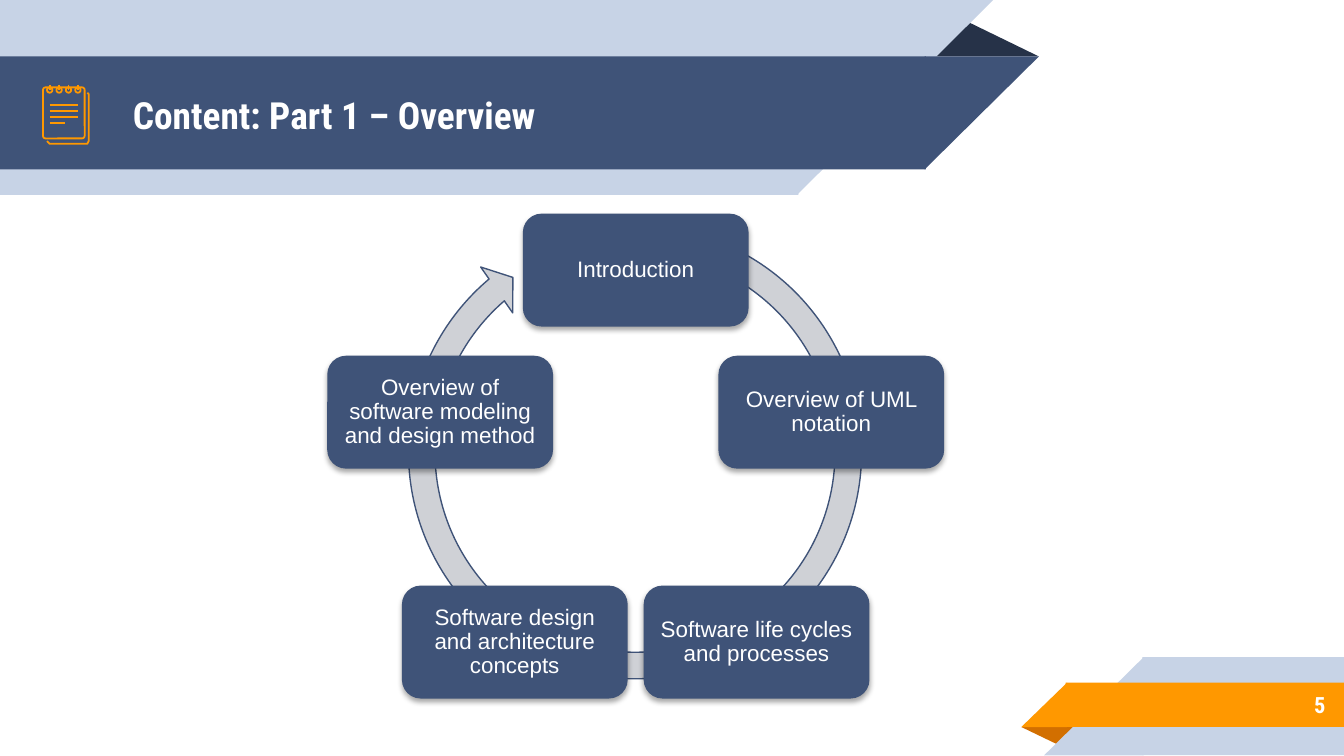
import math
from dataclasses import dataclass

import pptx
import pptx.dml.color
import pptx.enum.shapes
import pptx.enum.text
import pptx.oxml
import pptx.oxml.ns
import pptx.util

Inches = pptx.util.Inches
Pt = pptx.util.Pt
SHAPE = pptx.enum.shapes.MSO_SHAPE
ALIGN = pptx.enum.text.PP_ALIGN
NS = pptx.oxml.ns.nsdecls("a")
SEAM = 0.01  # overlap that hides the joint between a band and its slanted end


@dataclass(frozen=True)
class Theme:
    navy: str = "3F5378"
    dark_navy: str = "263248"
    pale_blue: str = "C7D3E6"
    orange: str = "FF9800"
    dark_orange: str = "D26F00"
    ring_gray: str = "CFD1D6"
    white: str = "FFFFFF"
    heading_font: str = "Roboto Condensed"
    body_font: str = "Arial"
    title_size: int = 20
    body_size: int = 12
    thin_line: float = 0.75
    icon_line: float = 0.96


THEME = Theme()
STEPS = [
    "Introduction",
    "Overview of UML notation",
    "Software life cycles and processes",
    "Software design and architecture concepts",
    "Overview of software modeling and design method",
]


def rgb(color):
    return pptx.dml.color.RGBColor.from_string(color)


def style(s, fill=None, line=None, width=THEME.thin_line):
    s.shadow.inherit = False
    if fill:
        s.fill.solid()
        s.fill.fore_color.rgb = rgb(fill)
    else:
        s.fill.background()
    if line:
        s.line.color.rgb = rgb(line)
        s.line.width = Pt(width)
    else:
        s.line.fill.background()


def add_shape(slide, kind, box, fill=None, line=None, width=THEME.thin_line,
              rotation=0, flip=False, adjustments=()):
    s = slide.shapes.add_shape(kind, *map(Inches, box))
    style(s, fill, line, width)
    s.rotation = rotation
    if flip:
        s._element.spPr.xfrm.set("flipH", "1")
    for i, value in enumerate(adjustments):
        s.adjustments[i] = value
    return s


def write_text(s, text, font, size, align, inset, bold=False, spacing=1.0):
    tf = s.text_frame
    tf.word_wrap = True
    tf.vertical_anchor = pptx.enum.text.MSO_ANCHOR.MIDDLE
    tf.margin_left = tf.margin_right = Inches(inset)
    tf.margin_top = tf.margin_bottom = Inches(inset)
    p = tf.paragraphs[0]
    p.alignment = align
    p.line_spacing = spacing
    r = p.add_run()
    r.text = text
    r.font.name = font
    r.font.size = Pt(size)
    r.font.bold = bold
    r.font.color.rgb = rgb(THEME.white)


def add_heading(slide, box, text, size, align):
    s = slide.shapes.add_textbox(*map(Inches, box))
    write_text(s, text, THEME.heading_font, size, align, 0.1, bold=True)


def add_line(slide, x1, y1, x2, y2):
    s = slide.shapes.add_connector(
        pptx.enum.shapes.MSO_CONNECTOR.STRAIGHT, *map(Inches, (x1, y1, x2, y2)))
    s.line.color.rgb = rgb(THEME.orange)
    s.line.width = Pt(THEME.icon_line)
    s._element.spPr.append(pptx.oxml.parse_xml(f"<a:effectLst {NS}/>"))


def add_soft_shadow(s):
    effects = s._element.spPr.find(pptx.oxml.ns.qn("a:effectLst"))
    effects.append(pptx.oxml.parse_xml(
        f'<a:outerShdw {NS} blurRad="{Pt(3.1)}" dist="{Pt(1.8)}" dir="5400000" '
        'rotWithShape="0"><a:srgbClr val="000000"><a:alpha val="35000"/>'
        '</a:srgbClr></a:outerShdw>'))


def add_header_band(slide, top, length, height, fill):
    """A band from the left edge whose right end slants inwards at 45 degrees."""
    add_shape(slide, SHAPE.RECTANGLE, (0, top, length, height), fill)
    add_shape(slide, SHAPE.RIGHT_TRIANGLE,
              (length - SEAM, top, height + SEAM, height), fill,
              rotation=180, flip=True)


def add_footer_band(slide, left, top, height, fill):
    """A band to the right edge whose left end slants at 45 degrees."""
    start = left + height
    add_shape(slide, SHAPE.RECTANGLE, (start, top, 10 - start, height), fill)
    add_shape(slide, SHAPE.RIGHT_TRIANGLE, (left, top, height + SEAM, height),
              fill, flip=True)


def add_ribbons(slide):
    fold = [0.324]
    add_shape(slide, SHAPE.ISOSCELES_TRIANGLE, (6.88, 0.14, 0.85, 0.28),
              THEME.dark_navy, adjustments=fold)
    add_header_band(slide, 0, 5.94, 1.45, THEME.pale_blue)
    add_header_band(slide, 0.42, 6.89, 0.84, THEME.navy)
    add_shape(slide, SHAPE.ISOSCELES_TRIANGLE, (7.6, 5.41, 0.43, 0.14),
              THEME.dark_orange, rotation=180, adjustments=fold)
    add_footer_band(slide, 7.77, 4.89, 0.73, THEME.pale_blue)
    add_footer_band(slide, 7.6, 5.08, 0.33, THEME.orange)


def add_cycle(slide):
    """Steps spaced evenly clockwise from the top of a circle."""
    center_x, center_y, radius = 4.73, 3.54, 1.53
    width, height = 1.68, 0.84
    add_shape(slide, SHAPE.CIRCULAR_ARROW, (2.93, 1.57, 3.59, 3.59),
              THEME.ring_gray, THEME.navy,
              adjustments=[0.055, 3.307, 137.735, 173.875, 0.058])
    for i, step in enumerate(STEPS):
        angle = 2 * math.pi * i / len(STEPS)
        x = center_x + radius * math.sin(angle) - width / 2
        y = center_y - radius * math.cos(angle) - height / 2
        s = add_shape(slide, SHAPE.ROUNDED_RECTANGLE, (x, y, width, height),
                      THEME.navy)
        add_soft_shadow(s)
        write_text(s, step, THEME.body_font, THEME.body_size, ALIGN.CENTER,
                   0.05, spacing=0.9)


def add_notepad_icon(slide):
    outline = {"line": THEME.orange, "width": THEME.icon_line}
    back_page = [(0.35, 1.05), (0.37, 1.07), (0.65, 1.07), (0.66, 1.05),
                 (0.66, 0.7), (0.65, 0.69)]
    points = [(Inches(x), Inches(y)) for x, y in back_page]
    builder = slide.shapes.build_freeform(*points[0])
    builder.add_line_segments(points[1:], close=False)
    style(builder.convert_to_shape(), **outline)

    add_shape(slide, SHAPE.ROUNDED_RECTANGLE, (0.32, 0.65, 0.31, 0.38),
              adjustments=[0.06], **outline)
    for i in range(4):
        x = 0.37 + 0.07 * i
        add_shape(slide, SHAPE.OVAL, (x - 0.02, 0.65, 0.04, 0.04), **outline)
        add_line(slide, x, 0.63, x, 0.67)
    for i, length in enumerate([0.21, 0.21, 0.21, 0.11]):
        y = 0.78 + 0.045 * i
        add_line(slide, 0.37, y, 0.37 + length, y)


def main():
    prs = pptx.Presentation()
    prs.slide_width = Inches(10)
    prs.slide_height = Inches(10 * 9 / 16)
    slide = prs.slides.add_slide(prs.slide_layouts[6])
    add_ribbons(slide)
    add_heading(slide, (0.89, 0.43, 5.75, 0.84), "Content: Part 1 – Overview",
                THEME.title_size, ALIGN.LEFT)
    add_heading(slide, (8.33, 5.07, 1.63, 0.35), "5", THEME.body_size, ALIGN.RIGHT)
    add_cycle(slide)
    add_notepad_icon(slide)
    prs.save("out.pptx")


if __name__ == "__main__":
    main()
